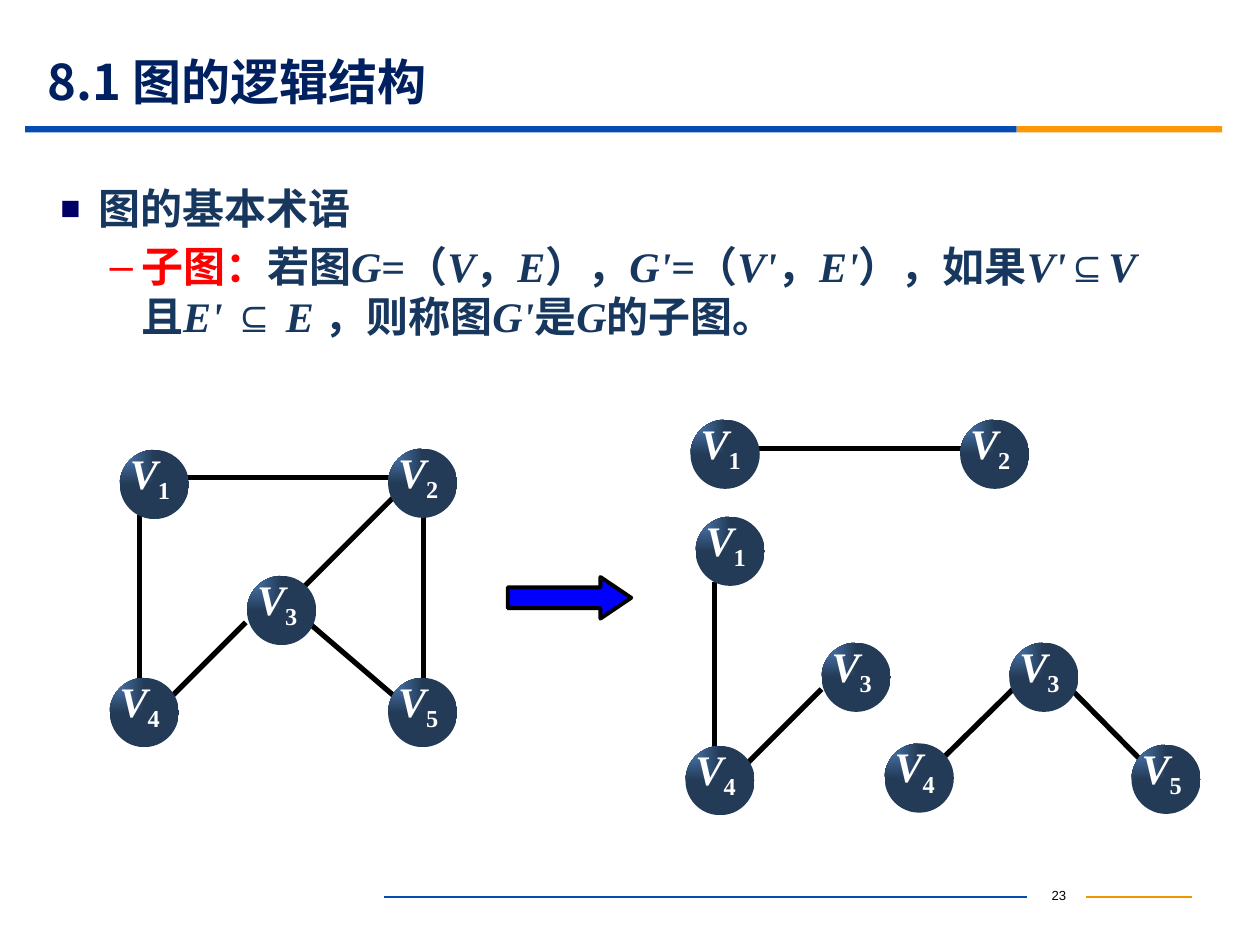
from dataclasses import dataclass

from lxml.etree import SubElement
from pptx import Presentation
from pptx.dml.color import RGBColor
from pptx.enum.shapes import MSO_CONNECTOR as Connector, MSO_SHAPE as Preset
from pptx.enum.text import MSO_ANCHOR as Anchor, MSO_AUTO_SIZE as AutoSize, PP_ALIGN as Align
from pptx.oxml import parse_xml
from pptx.oxml.ns import nsdecls, qn
from pptx.util import Inches, Pt


@dataclass(frozen=True)
class Theme:
    navy: str = "002060"
    ink: str = "17375E"
    bullet: str = "000066"
    accent: str = "FF0000"
    blue: str = "064BB2"
    orange: str = "FB9708"
    footer_orange: str = "F19500"
    arrow: str = "0000FF"
    black: str = "000000"
    white: str = "FFFFFF"
    node_light: str = "4F81BD"
    node_dark: str = "243B57"
    serif: str = "Times New Roman"
    sans: str = "Arial"
    chinese: str = "Noto Sans CJK SC"
    title_size: float = 28
    body_size: float = 24
    line_pitch: float = 28.6
    number_size: float = 7.5


THEME = Theme()
NODE_SIZE = 0.55

DEFINITION = [
    ("若图", False), ("G", True), ("=（", False), ("V", True), ("，", False),
    ("E", True), ("），", False), ("G'", True), ("=（", False), ("V'", True),
    ("，", False), ("E'", True), ("），如果", False), ("V'", True), ("⊆", False),
    ("V ", True), ("且", False), ("E' ", True), ("⊆ ", False), ("E", True),
    (" ，则称图", False), ("G'", True), ("是", False), ("G", True), ("的子图。", False),
]

GRAPHS = [
    ({1: (0.95, 3.57), 2: (3.08, 3.56), 3: (1.96, 4.57), 4: (0.87, 5.38), 5: (3.08, 5.38)},
     [(3.14, 3.93, 2.42, 4.65), (1.46, 3.79, 3.12, 3.79), (1.95, 4.94, 1.33, 5.56),
      (3.36, 4.08, 3.36, 5.43), (2.47, 4.96, 3.17, 5.56), (1.11, 4.09, 1.11, 5.41)]),
    ({1: (5.48, 3.33), 2: (7.62, 3.33)},
     [(6, 3.56, 7.65, 3.56)]),
    ({3: (8.01, 5.1), 4: (7.02, 5.9), 5: (8.98, 5.91)},
     [(8.04, 5.47, 7.41, 6.09), (8.52, 5.49, 9.15, 6.13)]),
    ({1: (5.52, 4.1), 3: (6.52, 5.1), 4: (5.44, 5.92)},
     [(6.52, 5.47, 5.9, 6.09), (5.67, 4.62, 5.67, 5.94)]),
]


def rgb(color):
    return RGBColor.from_string(color)


def set_font(font, size, color, name, bold=False):
    font.size, font.name, font.bold = Pt(size), name, bold
    font.color.rgb = rgb(color)


def set_chinese_font(paragraph):
    properties = paragraph.font._element
    latin = properties.find(qn("a:latin"))
    latin.addnext(parse_xml(f'<a:ea {nsdecls("a")} typeface="{THEME.chinese}"/>'))


def place(shape, left, top, width, height):
    shape.left, shape.top = Inches(left), Inches(top)
    shape.width, shape.height = Inches(width), Inches(height)


def add_bullet(paragraph, mark, color, indent, hanging, percent):
    properties = paragraph._p.get_or_add_pPr()
    properties.set("marL", str(Inches(indent)))
    properties.set("indent", str(-Inches(hanging)))
    bullet_color = SubElement(properties, qn("a:buClr"))
    SubElement(bullet_color, qn("a:srgbClr"), val=color)
    SubElement(properties, qn("a:buSzPct"), val=str(percent * 1000))
    SubElement(properties, qn("a:buFont"), typeface=THEME.sans)
    SubElement(properties, qn("a:buChar"), char=mark)


def add_line(shapes, x1, y1, x2, y2, color, width):
    line = shapes.add_connector(Connector.STRAIGHT, Inches(x1), Inches(y1), Inches(x2), Inches(y2))
    line.line.color.rgb = rgb(color)
    line.line.width = Pt(width)
    SubElement(line._element.spPr, qn("a:effectLst"))


def add_preset(shapes, preset, left, top, width, height, fill=None):
    shape = shapes.add_shape(preset, Inches(left), Inches(top), Inches(width), Inches(height))
    shape.shadow.inherit = False
    shape.line.fill.background()
    if fill:
        shape.fill.solid()
        shape.fill.fore_color.rgb = rgb(fill)
    return shape


def add_text_box(shapes, left, top, width, height, align):
    box = shapes.add_textbox(Inches(left), Inches(top), Inches(width), Inches(height))
    box.text_frame.word_wrap = True
    paragraph = box.text_frame.paragraphs[0]
    paragraph.alignment = align
    return box.text_frame, paragraph


def add_node(shapes, number, left, top):
    circle = add_preset(shapes, Preset.OVAL, left, top, NODE_SIZE, NODE_SIZE)
    gradient = parse_xml(
        f'<a:gradFill {nsdecls("a")} rotWithShape="1"><a:gsLst>'
        f'<a:gs pos="0"><a:srgbClr val="{THEME.node_light}"/></a:gs>'
        f'<a:gs pos="100000"><a:srgbClr val="{THEME.node_dark}"/></a:gs></a:gsLst>'
        '<a:path path="rect"><a:fillToRect r="100000" b="100000"/></a:path></a:gradFill>')
    circle._element.spPr.find(qn("a:prstGeom")).addnext(gradient)

    frame, paragraph = add_text_box(shapes, left + 0.07, top - 0.05, 0.51, 0.65, Align.JUSTIFY)
    frame.margin_left, frame.margin_top = Inches(0.01), Inches(0.03)
    frame.margin_right, frame.margin_bottom = 0, Inches(0.01)
    set_font(paragraph.font, THEME.body_size, THEME.white, THEME.serif, True)
    letter, subscript = paragraph.add_run(), paragraph.add_run()
    letter.text, subscript.text = "V", str(number)
    letter.font.italic = True
    subscript.font._element.set("baseline", "-25000")


def add_graph(slide, nodes, edges):
    group = slide.shapes.add_group_shape()
    for edge in edges:
        add_line(group.shapes, *edge, THEME.black, 3)
    for number, corner in nodes.items():
        add_node(group.shapes, number, *corner)


def fill_title(slide):
    title = slide.shapes.title
    place(title, 0.28, 0.43, 9, 0.43)
    frame = title.text_frame
    frame.auto_size, frame.vertical_anchor = AutoSize.NONE, Anchor.MIDDLE
    paragraph = frame.paragraphs[0]
    paragraph.text = "8.1 图的逻辑结构"
    paragraph.alignment = Align.LEFT
    set_font(paragraph.font, THEME.title_size, THEME.navy, THEME.chinese, True)
    set_chinese_font(paragraph)


def fill_body(slide):
    body = slide.placeholders[1]
    place(body, 0.38, 1.4, 9, 1.1)
    frame = body.text_frame
    frame.auto_size = AutoSize.NONE
    heading, definition = frame.paragraphs[0], frame.add_paragraph()
    definition.level = 1
    heading.space_before, definition.space_before = Pt(0), Pt(4.8)
    add_bullet(heading, "■", THEME.bullet, 0.3, 0.3, 80)
    add_bullet(definition, "–", THEME.accent, 0.64, 0.25, 100)
    for paragraph in (heading, definition):
        paragraph.line_spacing = Pt(THEME.line_pitch)
        set_font(paragraph.font, THEME.body_size, THEME.ink, THEME.serif, True)
        set_chinese_font(paragraph)
    heading.add_run().text = "图的基本术语"
    term = definition.add_run()
    term.text = "子图："
    term.font.color.rgb = rgb(THEME.accent)
    for text, italic in DEFINITION:
        run = definition.add_run()
        run.text = text
        run.font.italic = italic


def add_frame(slide):
    shapes = slide.shapes
    add_preset(shapes, Preset.RECTANGLE, 0.2, 1, 7.87, 0.05, THEME.blue)
    add_preset(shapes, Preset.RECTANGLE, 8.07, 1, 1.63, 0.05, THEME.orange)
    add_line(shapes, 3.05, 7.12, 8.15, 7.12, THEME.blue, 0.75)
    add_line(shapes, 8.62, 7.12, 9.46, 7.12, THEME.footer_orange, 0.75)
    _, paragraph = add_text_box(shapes, 8.17, 6.99, 0.47, 0.25, Align.CENTER)
    paragraph.text = "23"
    set_font(paragraph.font, THEME.number_size, THEME.black, THEME.sans)


def add_arrow(slide):
    arrow = add_preset(slide.shapes, Preset.RIGHT_ARROW, 4.03, 4.58, 0.98, 0.33, THEME.arrow)
    arrow.adjustments[0], arrow.adjustments[1] = 0.5, 0.74
    arrow.line.color.rgb = rgb(THEME.black)
    arrow.line.width = Pt(2.25)


def main():
    presentation = Presentation()
    presentation.slide_width, presentation.slide_height = Inches(10), Inches(7.5)
    slide = presentation.slides.add_slide(presentation.slide_layouts[1])
    add_frame(slide)
    fill_title(slide)
    fill_body(slide)
    add_arrow(slide)
    for nodes, edges in GRAPHS:
        add_graph(slide, nodes, edges)
    presentation.save("out.pptx")


if __name__ == "__main__":
    main()
